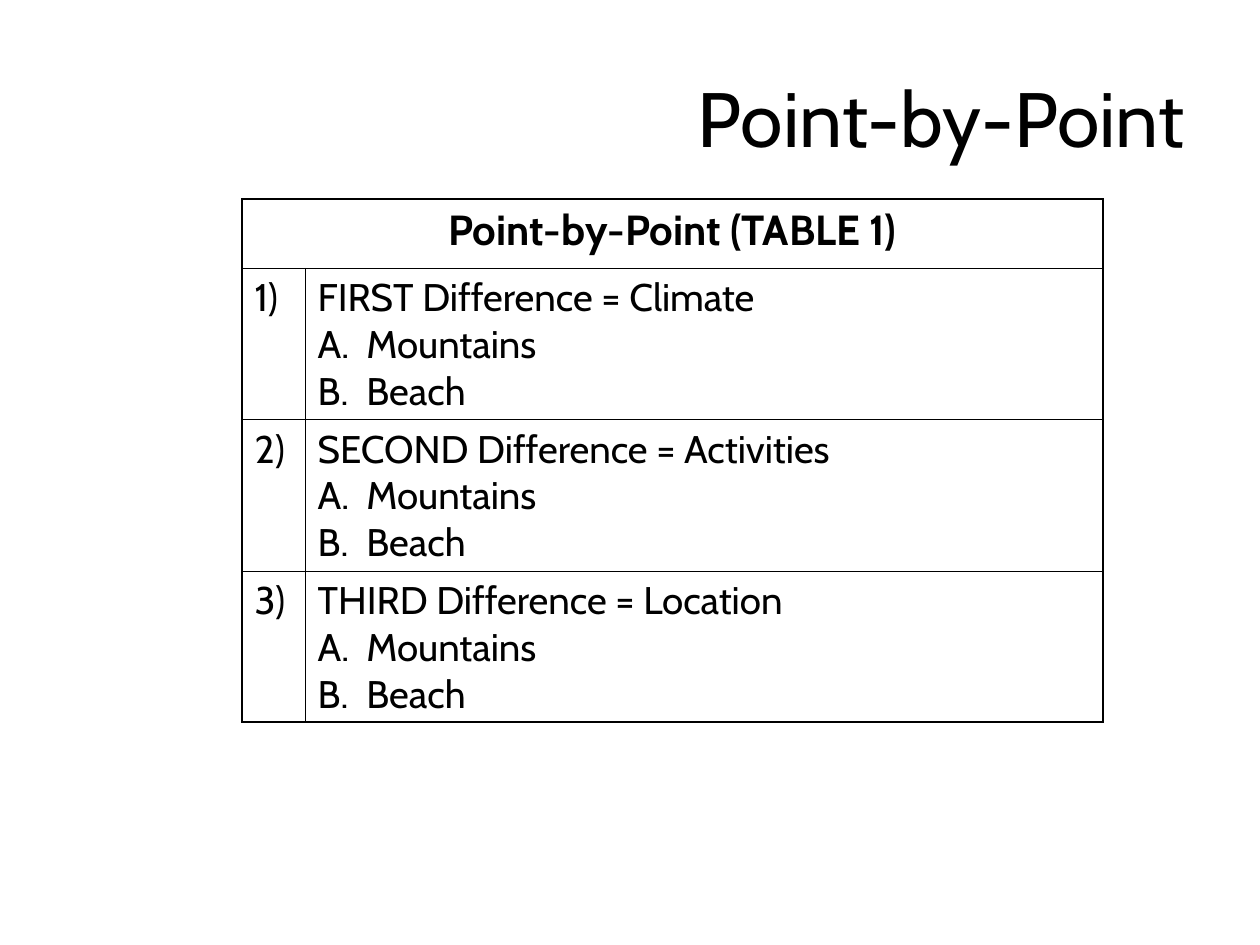
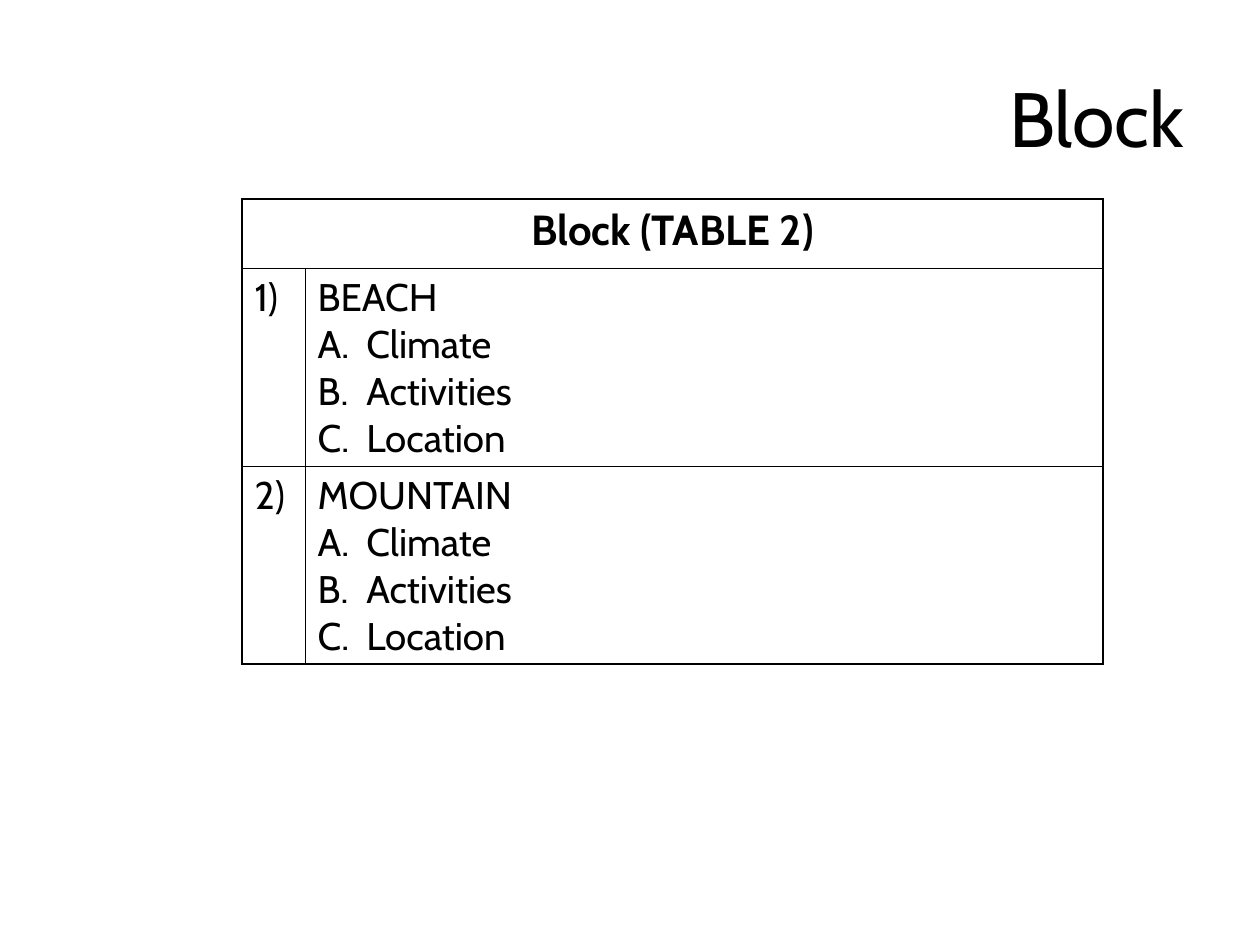
from dataclasses import dataclass

from lxml.etree import SubElement
from pptx import Presentation
from pptx.dml.color import RGBColor
from pptx.enum.text import MSO_ANCHOR, PP_ALIGN
from pptx.oxml.ns import qn
from pptx.util import Cm, Pt


@dataclass(frozen=True)
class Theme:
    font: str = "Cabin"
    ink: str = "000000"
    title_size: float = 44
    header_size: float = 24
    body_size: float = 22
    outer_line: float = 1.08
    inner_line: float = 0.45


THEME = Theme()

# Boxes and table measures, in centimetres
TITLE_BOX = (1.27, 0.76, 22.86, 3.18)
TABLE_BOX = (4.88, 4.01, 17.35)  # left, top, width
NUMBER_WIDTH = 1.27
HEADER_HEIGHT = 1.4
LINE_HEIGHT = 0.94
ROW_PADDING = 0.23
ITEM_TAB = 0.98

PLACES = ["Mountains", "Beach"]
TOPICS = ["Climate", "Activities", "Location"]

OUTLINES = [
    {
        "title": "Point-by-Point",
        "header": "Point-by-Point (TABLE 1)",
        "sections": [
            ("FIRST Difference = Climate", PLACES),
            ("SECOND Difference = Activities", PLACES),
            ("THIRD Difference = Location", PLACES),
        ],
    },
    {
        "title": "Block",
        "header": "Block (TABLE 2)",
        "sections": [("BEACH", TOPICS), ("MOUNTAIN", TOPICS)],
    },
]


def write_text(text_frame, text, size, bold=False, **paragraph_format):
    """Fill the first paragraph; a vertical tab in the text breaks the line."""
    paragraph = text_frame.paragraphs[0]
    paragraph.text = text
    for name, value in paragraph_format.items():
        setattr(paragraph, name, value)
    font_format = {"name": THEME.font, "size": Pt(size), "bold": bold}
    for run in paragraph.runs:
        for name, value in font_format.items():
            setattr(run.font, name, value)
        run.font.color.rgb = RGBColor.from_string(THEME.ink)
    return paragraph


def add_tab_stop(paragraph, position):
    properties = paragraph._p.get_or_add_pPr()
    tab_list = SubElement(properties, qn("a:tabLst"))
    SubElement(tab_list, qn("a:tab"), pos=str(Cm(position)), algn="l")


def set_borders(cell, outer_edges):
    """Draw all four sides, heavier on the outer edges of the table."""
    cell.fill.background()
    properties = cell._tc.get_or_add_tcPr()
    for index, edge in enumerate("LRTB"):
        width = THEME.outer_line if edge in outer_edges else THEME.inner_line
        line = SubElement(properties, qn(f"a:ln{edge}"), w=str(Pt(width)))
        fill = SubElement(line, qn("a:solidFill"))
        SubElement(fill, qn("a:srgbClr"), val=THEME.ink)
        properties.insert(index, line)


def add_title(slide, box, title):
    shape = slide.shapes.add_textbox(*map(Cm, box))
    text_frame = shape.text_frame
    text_frame.word_wrap = True
    text_frame.vertical_anchor = MSO_ANCHOR.MIDDLE
    write_text(text_frame, title, THEME.title_size, alignment=PP_ALIGN.RIGHT)


def add_outline_table(slide, box, header, sections):
    left, top, width = box
    heights = [HEADER_HEIGHT] + [
        LINE_HEIGHT * (1 + len(items)) + ROW_PADDING for _, items in sections
    ]
    frame = slide.shapes.add_table(
        len(heights), 2, Cm(left), Cm(top), Cm(width), Cm(sum(heights))
    )
    table = frame.table
    for name in ("first_row", "horz_banding"):
        setattr(table, name, False)
    for column, size in zip(table.columns, (NUMBER_WIDTH, width - NUMBER_WIDTH)):
        column.width = Cm(size)
    for row, height in zip(table.rows, heights):
        row.height = Cm(height)

    # Header across both columns
    header_cell = table.cell(0, 0)
    header_cell.merge(table.cell(0, 1))
    write_text(header_cell.text_frame, header, THEME.header_size, bold=True,
               alignment=PP_ALIGN.CENTER, space_before=Pt(6))
    for column in range(2):
        set_borders(table.cell(0, column), "LRT")

    # Numbered sections with lettered items
    for number, (heading, items) in enumerate(sections, start=1):
        lettered = [f"{letter}.\t{item}" for letter, item in zip("ABC", items)]
        texts = (f"{number})", "\v".join([heading, *lettered]))
        bottom = "B" if number == len(sections) else ""
        for column, (text, side) in enumerate(zip(texts, "LR")):
            cell = table.cell(number, column)
            paragraph = write_text(cell.text_frame, text, THEME.body_size,
                                   space_before=Pt(5.5))
            if column == 1:
                add_tab_stop(paragraph, ITEM_TAB)
            set_borders(cell, side + bottom)


def add_outline_slide(presentation, title, header, sections):
    slide = presentation.slides.add_slide(presentation.slide_layouts[6])
    add_title(slide, TITLE_BOX, title)
    add_outline_table(slide, TABLE_BOX, header, sections)


def main():
    presentation = Presentation()
    presentation.slide_width = Cm(25.4)
    presentation.slide_height = Cm(19.05)
    for outline in OUTLINES:
        add_outline_slide(presentation, **outline)
    presentation.save("out.pptx")


if __name__ == "__main__":
    main()
